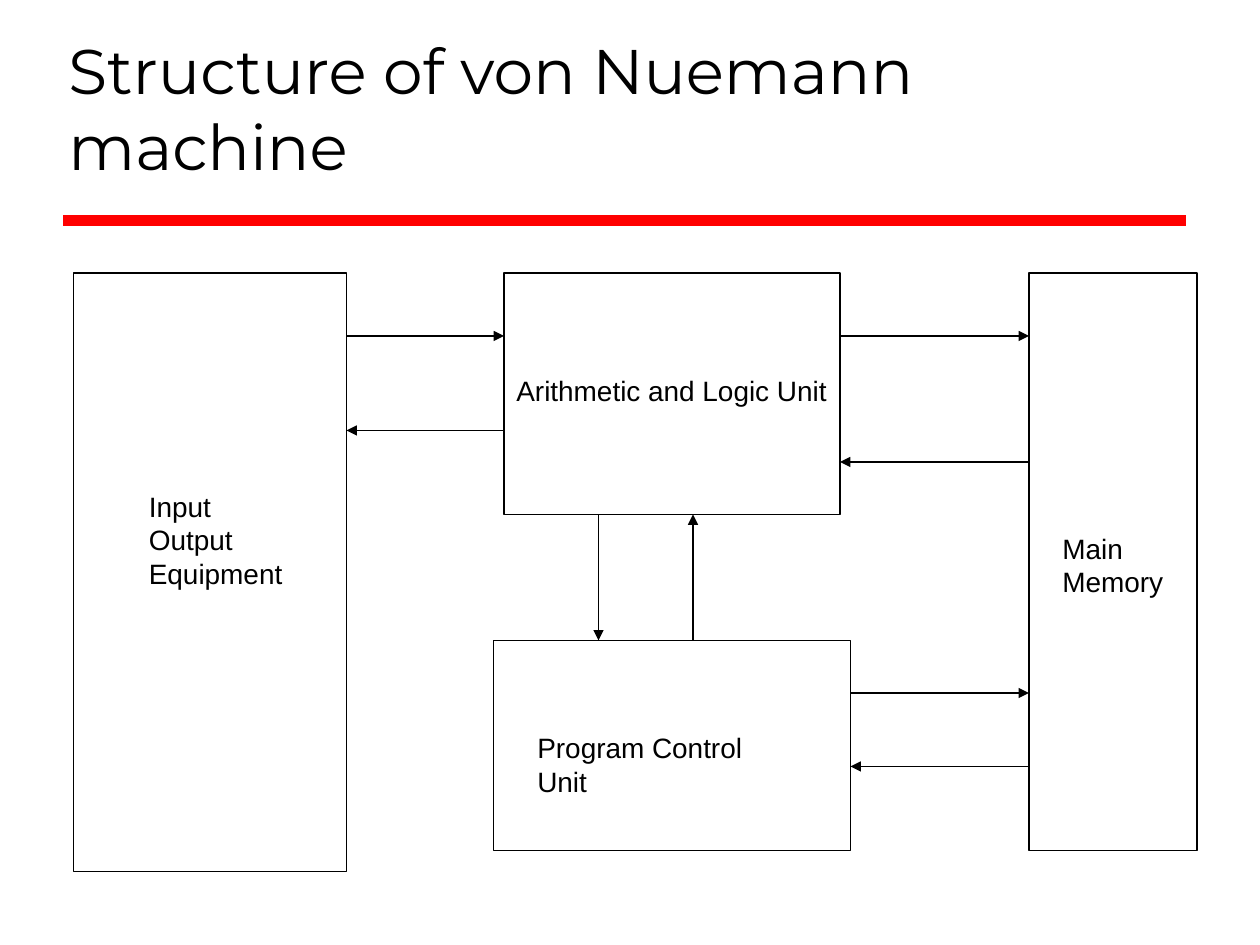
import pptx
import pptx.util
import pptx.dml.color
import pptx.enum.shapes
import pptx.enum.text
import pptx.oxml.ns
import lxml.etree

Pt = pptx.util.Pt
COLORS = {"ink": "000000", "rule": "FF0000"}

TITLE = "Structure of von Nuemann machine"
BOXES = {
    "io": (42, 156, 156, 342),
    "alu": (288, 156, 192, 138),
    "control": (282, 366, 204, 120),
    "memory": (588, 156, 96, 330),
}
LABELS = [
    ("Main\nMemory", (600, 300, 72, 46)),
    ("Arithmetic and Logic Unit", (288, 210, 192, 26.6)),
    ("Program Control Unit", (300, 414, 164, 26.6)),
    ("Input\nOutput\nEquipment", (78, 276, 91, 65)),
]
ACROSS = [
    ("io", "alu", 192, 246),
    ("control", "memory", 396, 438),
    ("alu", "memory", 192, 264),
]
DOWN = [("alu", "control", 342, 396)]


def rgb(name):
    return pptx.dml.color.RGBColor.from_string(COLORS[name])


def add_line(s, start, end, color="ink", width=0.75, arrow=True):
    kind = pptx.enum.shapes.MSO_CONNECTOR.STRAIGHT
    sp = s.shapes.add_connector(kind, *map(Pt, start + end))
    sp.line.color.rgb = rgb(color)
    sp.line.width = Pt(width)
    qn = pptx.oxml.ns.qn
    if arrow:
        ln = sp.line._get_or_add_ln()
        lxml.etree.SubElement(ln, qn("a:tailEnd"), type="triangle")
    lxml.etree.SubElement(sp._element.spPr, qn("a:effectLst"))


def add_text(s, text, box, font, size, wrap=False):
    sp = s.shapes.add_textbox(*map(Pt, box))
    tf = sp.text_frame
    tf.text = text
    tf.word_wrap = wrap
    for p in tf.paragraphs:
        for r in p.runs:
            r.font.name = font
            r.font.size = Pt(size)
            r.font.color.rgb = rgb("ink")
    return tf


def add_box(s, box):
    kind = pptx.enum.shapes.MSO_SHAPE.RECTANGLE
    sp = s.shapes.add_shape(kind, *map(Pt, box))
    sp.shadow.inherit = False
    sp.fill.background()
    sp.line.color.rgb = rgb("ink")
    sp.line.width = Pt(0.75)


def main():
    prs = pptx.Presentation()
    prs.slide_width, prs.slide_height = Pt(720), Pt(540)
    s = prs.slides.add_slide(prs.slide_layouts[6])

    add_line(s, (36, 126), (678, 126), "rule", 6, arrow=False)
    tf = add_text(s, TITLE, (32, 18, 646, 90), "Montserrat", 36, wrap=True)
    tf.vertical_anchor = pptx.enum.text.MSO_ANCHOR.BOTTOM

    for box in BOXES.values():
        add_box(s, box)
    for text, box in LABELS:
        add_text(s, text, box, "Arial", 16)

    for left, right, y_out, y_back in ACROSS:
        x1 = BOXES[left][0] + BOXES[left][2]
        x2 = BOXES[right][0]
        add_line(s, (x1, y_out), (x2, y_out))
        add_line(s, (x2, y_back), (x1, y_back))
    for upper, lower, x_out, x_back in DOWN:
        y1 = BOXES[upper][1] + BOXES[upper][3]
        y2 = BOXES[lower][1]
        add_line(s, (x_out, y1), (x_out, y2))
        add_line(s, (x_back, y2), (x_back, y1))

    prs.save("out.pptx")


if __name__ == "__main__":
    main()
